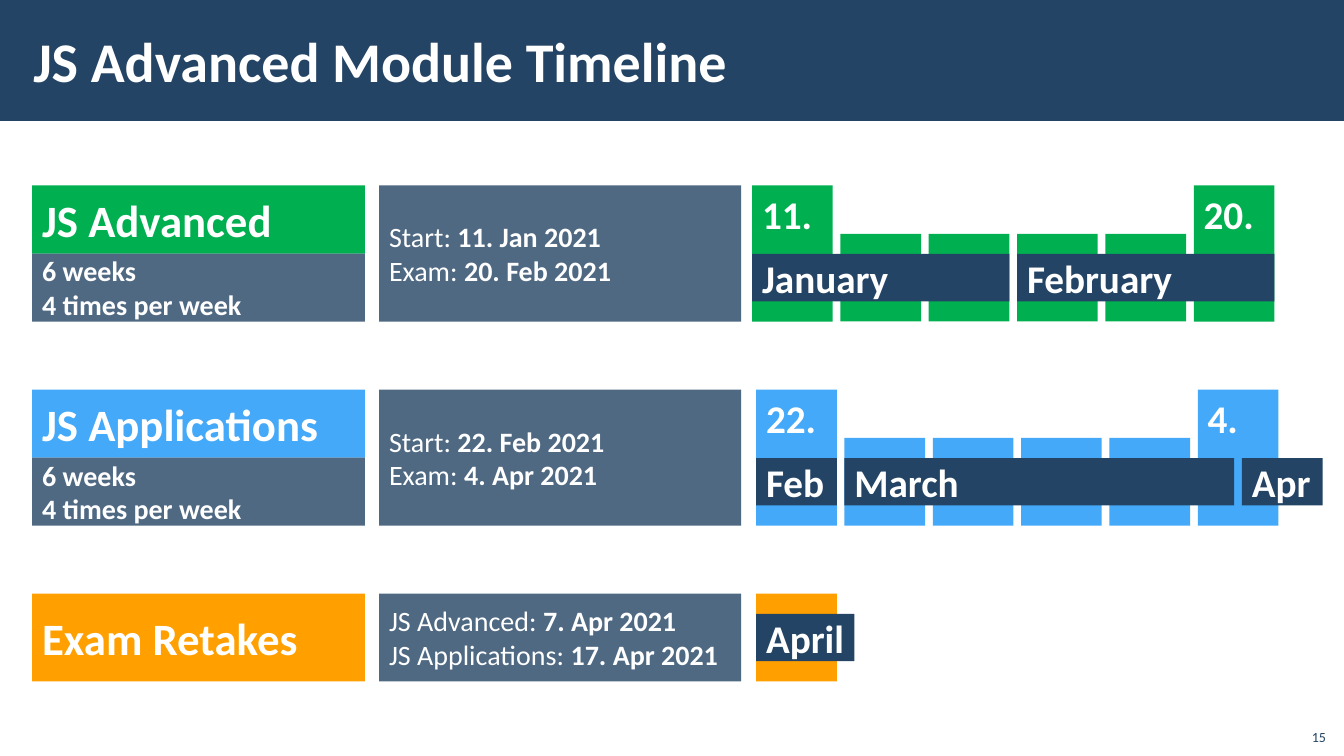
import pptx
import pptx.dml.color
import pptx.enum.shapes
import pptx.enum.text
import pptx.oxml
import pptx.oxml.ns
import pptx.util

Inches = pptx.util.Inches
Anchor = pptx.enum.text.MSO_ANCHOR
Align = pptx.enum.text.PP_ALIGN

NAVY = pptx.dml.color.RGBColor(0x23, 0x44, 0x65)
GREEN = pptx.dml.color.RGBColor(0x00, 0xB0, 0x50)
BLUE = pptx.dml.color.RGBColor(0x44, 0xA9, 0xF8)
ORANGE = pptx.dml.color.RGBColor(0xFF, 0xA0, 0x00)
WHITE = pptx.dml.color.RGBColor(0xFF, 0xFF, 0xFF)

PAGE_WIDTH, PAGE_HEIGHT = 13.33, 7.5
HEADER_HEIGHT = 1.2

# Grid: three module rows; a name column, a dates column, then week columns.
FIRST_ROW, ROW_STEP = 1.84, 2.025
NAME_COLUMN = (0.32, 3.3)
DATES_COLUMN = (3.76, 3.59)
WEEK_STEP, WEEK_GAP = 0.876, 0.076
FULL_HEIGHT, SHORT_HEIGHT = 1.35, 0.87
HALF_HEIGHT = FULL_HEIGHT / 2
MONTH_HEIGHT = 0.47

SCHEDULE = ["6 weeks", "4 times per week"]

# Months are (name, first week, length in weeks).
COURSES = [
    dict(name="JS Advanced", color=GREEN, left=7.46, days=("11.", "20."),
         dates=[("Start: ", "11. Jan 2021"), ("Exam: ", "20. Feb 2021")],
         months=[("January", 0, 3), ("February", 3, 3)]),
    dict(name="JS Applications", color=BLUE, left=7.5, days=("22.", "4."),
         dates=[("Start: ", "22. Feb 2021"), ("Exam: ", "4. Apr 2021")],
         months=[("Feb", 0, 1), ("March", 1, 4.5), ("Apr", 5.5, 1)]),
]
RETAKES = dict(name="Exam Retakes", color=ORANGE, left=7.5,
               dates=[("JS Advanced: ", "7. Apr 2021"),
                      ("JS Applications: ", "17. Apr 2021")],
               month=("April", 0, 1.2))


def row_top(row):
    return FIRST_ROW + row * ROW_STEP


class TimelineSlide:
    """Holds the text style and the slide that is being filled."""

    font = "Calibri"

    def __init__(self, deck):
        self.page = deck.slides.add_slide(deck.slide_layouts[5])

    def add_lines(self, frame, lines, size, color=WHITE, anchor=Anchor.MIDDLE,
                  align=Align.LEFT, insets=(0.1, 0, 0.1, 0)):
        """Fill a frame; each line is a bold string or a (plain, bold) pair."""
        frame.word_wrap = True
        frame.auto_size = pptx.enum.text.MSO_AUTO_SIZE.NONE
        frame.vertical_anchor = anchor
        (frame.margin_left, frame.margin_top,
         frame.margin_right, frame.margin_bottom) = map(Inches, insets)
        for index, line in enumerate(lines):
            para = frame.paragraphs[0] if index == 0 else frame.add_paragraph()
            para.alignment = align
            plain, bold = ("", line) if isinstance(line, str) else line
            for text, is_bold in ((plain, False), (bold, True)):
                if text:
                    span = para.add_run()
                    span.text = text
                    span.font.name = self.font
                    span.font.size = pptx.util.Pt(size)
                    span.font.bold = is_bold
                    span.font.color.rgb = color

    def block(self, left, top, width, height, color, opacity=100):
        box = self.page.shapes.add_shape(
            pptx.enum.shapes.MSO_SHAPE.RECTANGLE,
            *map(Inches, (left, top, width, height)))
        box.shadow.inherit = False
        box.line.fill.background()
        box.fill.solid()
        box.fill.fore_color.rgb = color
        if opacity < 100:
            tint = box._element.spPr.find(".//" + pptx.oxml.ns.qn("a:srgbClr"))
            alpha = pptx.oxml.parse_xml(
                "<a:alpha %s val='%d'/>" % (pptx.oxml.ns.nsdecls("a"), opacity * 1000))
            tint.append(alpha)
        return box

    def header(self, text):
        band = self.block(0, 0, PAGE_WIDTH, HEADER_HEIGHT, NAVY)
        title = self.page.shapes.title
        band._element.addnext(title._element)
        title.left, title.top, title.width, title.height = map(
            Inches, (0.21, 0.11, 10.63, 0.97))
        self.add_lines(title.text_frame, [text], 40, insets=(0.12, 0.04, 0.12, 0.04))

    def page_number(self, number):
        box = self.page.shapes.add_textbox(*map(Inches, (12.85, 7.12, 0.4, 0.32)))
        self.add_lines(box.text_frame, [("%d" % number, "")], 10, NAVY, Anchor.BOTTOM,
                       Align.RIGHT, (0.1, 0.05, 0.1, 0.05))

    def name(self, text, top, height, color):
        box = self.block(NAME_COLUMN[0], top, NAME_COLUMN[1], height, color)
        self.add_lines(box.text_frame, [text], 32)

    def details(self, lines, column, top, height):
        left, width = column
        box = self.block(left, top, width, height, NAVY, opacity=80)
        self.add_lines(box.text_frame, lines, 20)

    def week(self, left, bottom, index, color, day=None):
        """Draw a week bar, taller when it carries a day."""
        height = FULL_HEIGHT if day else SHORT_HEIGHT
        box = self.block(left + index * WEEK_STEP, bottom - height,
                         WEEK_STEP - WEEK_GAP, height, color)
        if day:
            self.add_lines(box.text_frame, [day], 28, anchor=Anchor.TOP,
                           insets=(0.1, 0.05, 0.1, 0.05))

    def month(self, left, bottom, text, start, weeks):
        top = bottom - (SHORT_HEIGHT + MONTH_HEIGHT) / 2
        box = self.block(left + start * WEEK_STEP, top,
                         weeks * WEEK_STEP - WEEK_GAP, MONTH_HEIGHT, NAVY)
        self.add_lines(box.text_frame, [text], 28, insets=(0.1, 0, 0, 0))

    def course(self, row, name, color, left, days, dates, months):
        top = row_top(row)
        bottom = top + FULL_HEIGHT
        self.name(name, top, HALF_HEIGHT, color)
        self.details(SCHEDULE, NAME_COLUMN, top + HALF_HEIGHT, HALF_HEIGHT)
        self.details(dates, DATES_COLUMN, top, FULL_HEIGHT)
        first_day, last_day = days
        for index, day in enumerate([first_day, None, None, None, None, last_day]):
            self.week(left, bottom, index, color, day)
        for month in months:
            self.month(left, bottom, *month)

    def retakes(self, row, name, color, left, dates, month):
        top = row_top(row)
        bottom = top + SHORT_HEIGHT
        self.name(name, top, SHORT_HEIGHT, color)
        self.details(dates, DATES_COLUMN, top, SHORT_HEIGHT)
        self.week(left, bottom, 0, color)
        self.month(left, bottom, *month)


def main():
    deck = pptx.Presentation()
    deck.slide_width = Inches(PAGE_WIDTH)
    deck.slide_height = Inches(PAGE_HEIGHT)
    timeline = TimelineSlide(deck)
    timeline.header("JS Advanced Module Timeline")
    for row, course in enumerate(COURSES):
        timeline.course(row, **course)
    timeline.retakes(len(COURSES), **RETAKES)
    timeline.page_number(15)
    deck.save("out.pptx")


if __name__ == "__main__":
    main()
